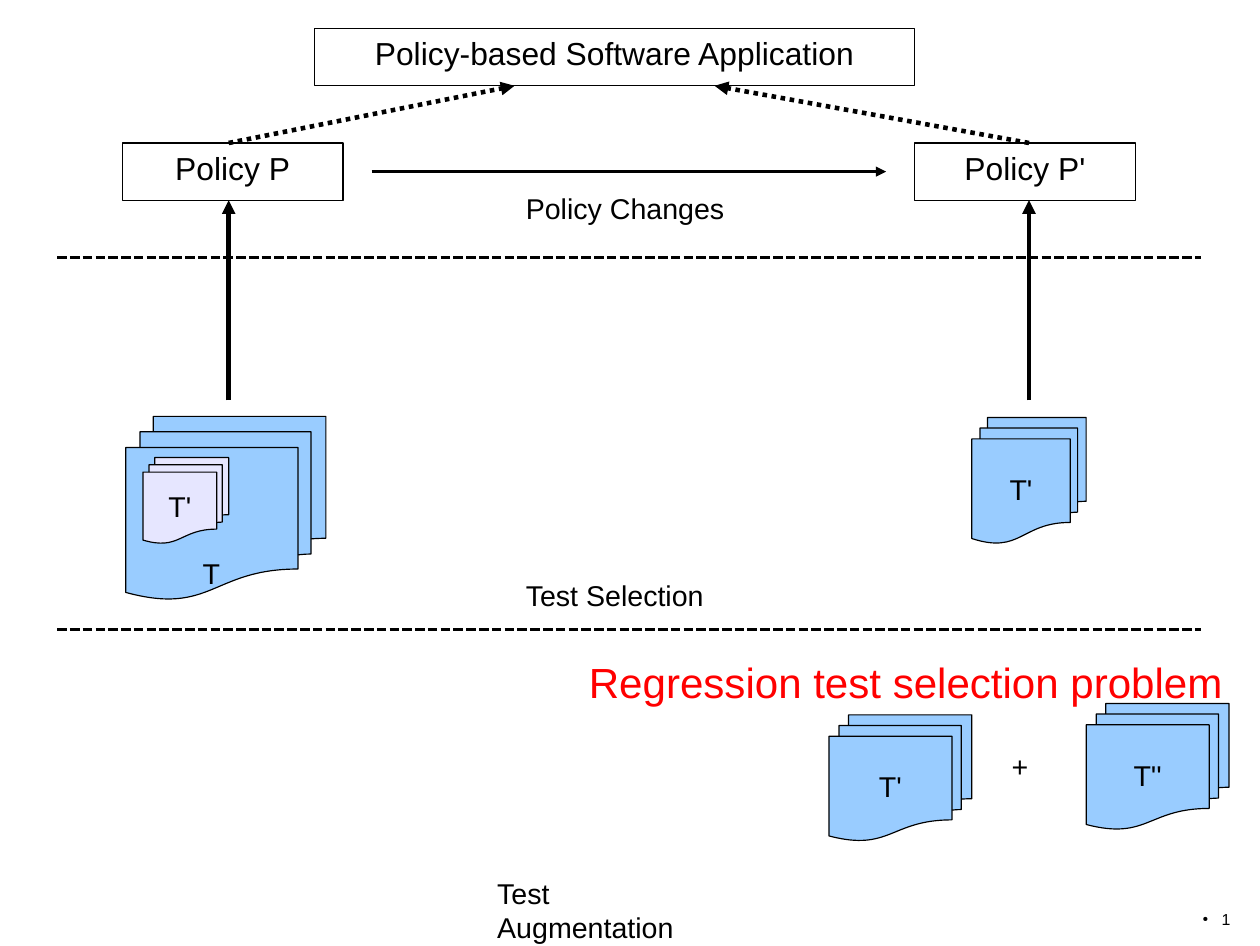
"""Build a slide on regression test selection for changing policies."""
from lxml.etree import SubElement
from pptx import Presentation
from pptx.dml.color import RGBColor
from pptx.enum.dml import MSO_LINE_DASH_STYLE as Dash
from pptx.enum.shapes import MSO_CONNECTOR, MSO_SHAPE as Shape
from pptx.enum.text import MSO_ANCHOR as Anchor, MSO_AUTO_SIZE, PP_ALIGN as Align
from pptx.oxml.ns import qn
from pptx.util import Inches, Pt

COLORS = {"ink": "000000", "paper": "FFFFFF", "tests": "99CCFF",
          "subset": "E6E6FF", "headline": "FF0000"}
FONT = "Arial"
HEADLINE = "Regression test selection problem"
BOXES = [
    ("Policy P", 1.07, 1.25, 1.93),
    ("Policy-based Software Application", 2.75, 0.25, 5.25),
    ("Policy P'", 8, 1.25, 1.93),
]
BOX_HEIGHT = 0.5
ARROWS = [
    ((2, 3.5), (2, 1.75), 2.89, None),
    ((9, 3.5), (9, 1.75), 2.89, None),
    ((3.25, 1.5), (7.75, 1.5), 2.15, None),
    ((2, 1.25), (4.5, 0.75), 2.89, Dash.ROUND_DOT),
    ((9, 1.25), (6.25, 0.75), 2.89, Dash.ROUND_DOT),
]
DIVIDERS = [2.25, 5.5]
TEST_SUITES = [
    ("", 1.1, 3.64, 1.75, 1.6, "tests"),
    ("T'", 1.25, 4, 0.75, 0.75, "subset"),
    ("T'", 8.5, 3.65, 1, 1.1, "tests"),
    ("T'", 7.25, 6.25, 1.25, 1.1, "tests"),
    ("T''", 9.5, 6.15, 1.25, 1.1, "tests"),
]
LABELS = [
    ("Policy Changes", 4.5, 1.62, 2.25, 0.38, Align.LEFT),
    ("Test Selection", 4.5, 5, 2.25, 0.38, Align.LEFT),
    ("Test Augmentation", 4.25, 7.61, 2.25, 0.66, Align.LEFT),
    ("+", 8.75, 6.5, 0.5, 0.5, Align.LEFT),
    ("T", 1.6, 4.81, 0.5, 0.38, Align.CENTER),
]
PAGE_NUMBER = "1"


def color(name):
    return RGBColor.from_string(COLORS[name])


def write(shape, text, size, align, anchor=Anchor.TOP, wrap=True, ink="ink"):
    frame = shape.text_frame
    frame.auto_size = MSO_AUTO_SIZE.NONE
    frame.word_wrap = wrap
    frame.vertical_anchor = anchor
    frame.text = text
    para = frame.paragraphs[0]
    para.alignment = align
    para.font.name = FONT
    para.font.size = Pt(size)
    para.font.color.rgb = color(ink)
    return para


def add_outlined(slide, kind, place, fill):
    shape = slide.shapes.add_shape(kind, *map(Inches, place))
    shape.shadow.inherit = False
    shape.fill.solid()
    shape.fill.fore_color.rgb = color(fill)
    shape.line.color.rgb = color("ink")
    shape.line.width = Pt(0.75)
    return shape


def add_label(slide, text, place, size, align, anchor=Anchor.TOP):
    box = slide.shapes.add_textbox(*map(Inches, place))
    return write(box, text, size, align, anchor)


def add_line(slide, start, end, width, dash=None, arrow=False):
    line = slide.shapes.add_connector(
        MSO_CONNECTOR.STRAIGHT, *map(Inches, (*start, *end)))
    line.line.color.rgb = color("ink")
    line.line.width = Pt(width)
    if dash:
        line.line.dash_style = dash
    if arrow:
        SubElement(line.line._get_or_add_ln(), qn("a:tailEnd"), type="triangle")
    SubElement(line._element.spPr, qn("a:effectLst"))


def add_bullet(para, indent):
    props = para._p.get_or_add_pPr()
    props.set("marL", str(Inches(indent)))
    props.set("indent", str(-Inches(indent)))
    tint = SubElement(props, qn("a:buClr"))
    SubElement(tint, qn("a:srgbClr"), val=COLORS["ink"])
    SubElement(props, qn("a:buSzPct"), val="45000")
    SubElement(props, qn("a:buChar"), char="●")


def main():
    deck = Presentation()
    deck.slide_width, deck.slide_height = Inches(11.02), Inches(8.27)
    slide = deck.slides.add_slide(deck.slide_layouts[5])

    title = slide.shapes.title
    title.left, title.top = Inches(5.05), Inches(5.65)
    title.width, title.height = Inches(6.06), Inches(0.78)
    write(title, HEADLINE, 26.5, Align.LEFT, ink="headline")
    title.text_frame.margin_top = Inches(0.09)

    for text, left, top, width in BOXES:
        place = (left, top, width, BOX_HEIGHT)
        box = add_outlined(slide, Shape.RECTANGLE, place, "paper")
        write(box, text, 20, Align.CENTER)
    for start, end, width, dash in ARROWS:
        add_line(slide, start, end, width, dash, arrow=True)
    for height in DIVIDERS:
        add_line(slide, (0.5, height), (10.5, height), 0, Dash.SQUARE_DOT)
    for text, *place, fill in TEST_SUITES:
        suite = add_outlined(slide, Shape.FLOWCHART_MULTIDOCUMENT, place, fill)
        if text:
            write(suite, text, 18, Align.CENTER, Anchor.MIDDLE, wrap=False)
    for text, *place, align in LABELS:
        add_label(slide, text, place, 18, align)

    number = add_label(slide, PAGE_NUMBER, (10.42, 7.73, 0.44, 0.44), 10,
                       Align.RIGHT, Anchor.BOTTOM)
    props = number._p.get_or_add_pPr()
    defaults = props.find(qn("a:defRPr"))
    add_bullet(number, 0.17)
    props.append(defaults)
    deck.save("out.pptx")


if __name__ == "__main__":
    main()
